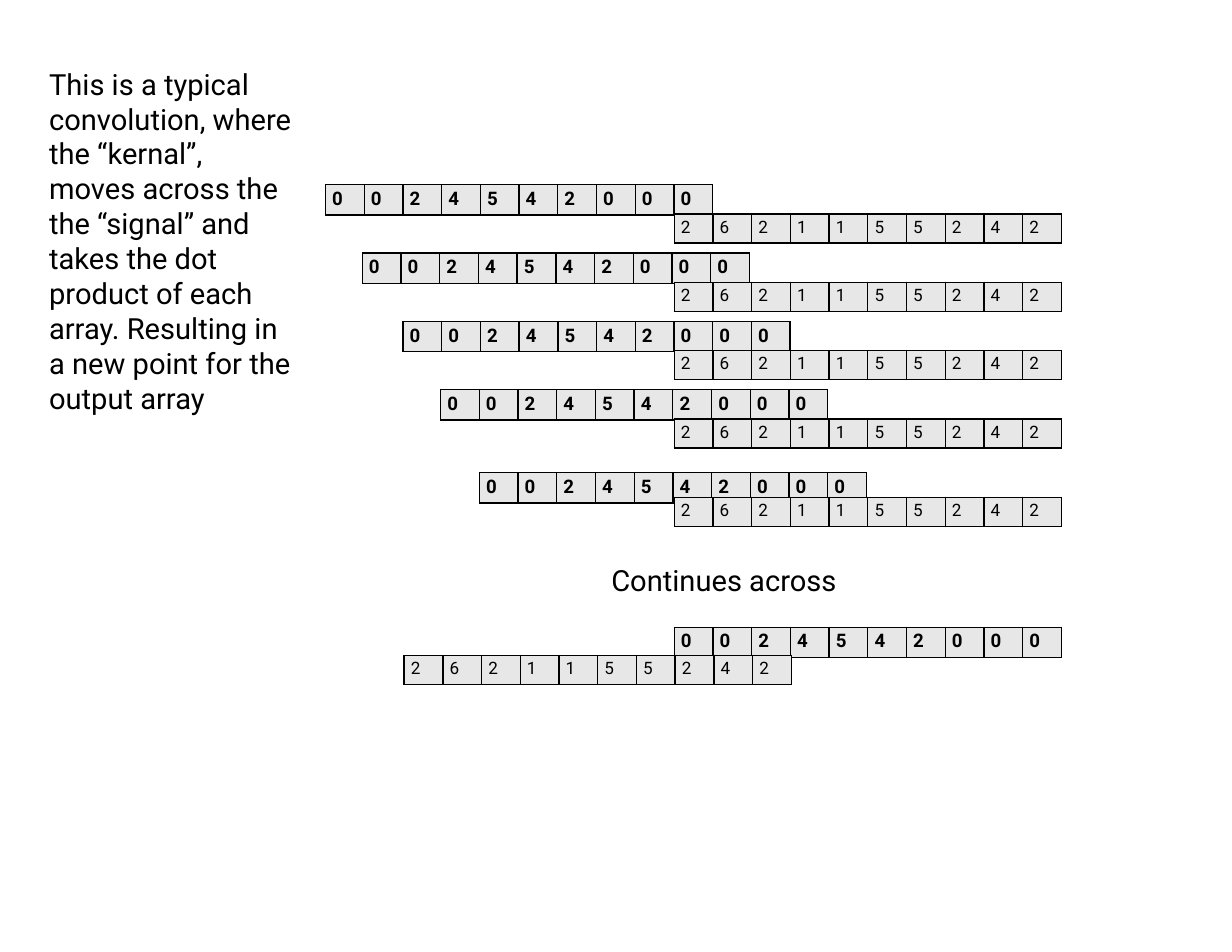
from dataclasses import dataclass

from lxml import etree
from pptx import Presentation, util as u
from pptx.dml.color import RGBColor
from pptx.oxml import ns

FONT, INK, CELL_FILL = "Roboto", "000000", "E7E7E7"
COLUMN = 0.346
ORIGIN = 6.02
STEP = 0.61


@dataclass(frozen=True)
class Array:
    """Values of one array with the look of its cells."""

    values: str
    height: float
    size: float
    bold: bool


@dataclass(frozen=True)
class Placement:
    """An array shifted by columns from the origin, at a top in inches."""

    array: Array
    shift: float
    top: float


@dataclass(frozen=True)
class Note:
    """A text with its left, top, width and height in inches."""

    words: str
    left: float
    top: float
    width: float
    height: float


KERNEL = Array("0024542000", 0.27, 12, True)
SIGNAL = Array("2621155242", 0.26, 11, False)

KERNEL_SHIFTS = (-9, -8.05, -7, -6.03)
PLACEMENTS = [
    placement
    for row, shift in enumerate(KERNEL_SHIFTS)
    for placement in (
        Placement(KERNEL, shift, 1.65 + row * STEP),
        Placement(SIGNAL, 0, 1.91 + row * STEP),
    )
] + [
    Placement(KERNEL, -5.03, 4.22),
    Placement(SIGNAL, 0, 4.44),
    Placement(KERNEL, 0, 5.6),
    Placement(SIGNAL, -6.97, 5.85),
]

NOTES = (
    Note(
        "This is a typical convolution, where the “kernal”, moves across the "
        "the “signal” and takes the dot product of each array. Resulting in "
        "a new point for the output array",
        0.34, 0.54, 2.36, 3.25,
    ),
    Note("Continues across", 5.36, 4.97, 2.38, 0.42),
)


def color(value: str) -> RGBColor:
    """Turn a hex string into a colour."""
    return RGBColor.from_string(value)


def style(paragraph, size: float, bold: bool = False) -> None:
    """Set the font of a paragraph."""
    font = paragraph.font
    font.name, font.size, font.bold = FONT, u.Pt(size), bold
    font.color.rgb = color(INK)


def add_borders(cell) -> None:
    """Draw a thin line on every side of a cell."""
    properties = cell._tc.get_or_add_tcPr()
    for index, side in enumerate(("lnL", "lnR", "lnT", "lnB")):
        line = etree.Element(ns.qn(f"a:{side}"), w=str(u.Pt(1)))
        fill = etree.SubElement(line, ns.qn("a:solidFill"))
        etree.SubElement(fill, ns.qn("a:srgbClr"), val=INK)
        properties.insert(index, line)


def draw_array(slide, placement: Placement) -> None:
    """Draw an array as a table of one row."""
    array = placement.array
    count = len(array.values)
    table = slide.shapes.add_table(
        1, count,
        u.Inches(ORIGIN + placement.shift * COLUMN), u.Inches(placement.top),
        u.Inches(count * COLUMN), u.Inches(array.height),
    ).table
    table.first_row = table.horz_banding = False
    for cell, value in zip(table.iter_cells(), array.values):
        cell.text = value
        cell.margin_left = cell.margin_right = u.Inches(0.06)
        cell.margin_top = cell.margin_bottom = u.Inches(0.03)
        cell.fill.solid()
        cell.fill.fore_color.rgb = color(CELL_FILL)
        add_borders(cell)
        style(cell.text_frame.paragraphs[0], array.size, array.bold)


def draw_note(slide, note: Note) -> None:
    """Draw a wrapped text box."""
    box = (note.left, note.top, note.width, note.height)
    frame = slide.shapes.add_textbox(*map(u.Inches, box)).text_frame
    frame.word_wrap = True
    frame.text = note.words
    style(frame.paragraphs[0], 18.7)


def main() -> None:
    """Build the slide and save it."""
    presentation = Presentation()
    presentation.slide_width = u.Inches(11)
    presentation.slide_height = u.Inches(8.5)
    slide = presentation.slides.add_slide(presentation.slide_layouts[6])
    for placement in PLACEMENTS:
        draw_array(slide, placement)
    for note in NOTES:
        draw_note(slide, note)
    presentation.save("out.pptx")


if __name__ == "__main__":
    main()
